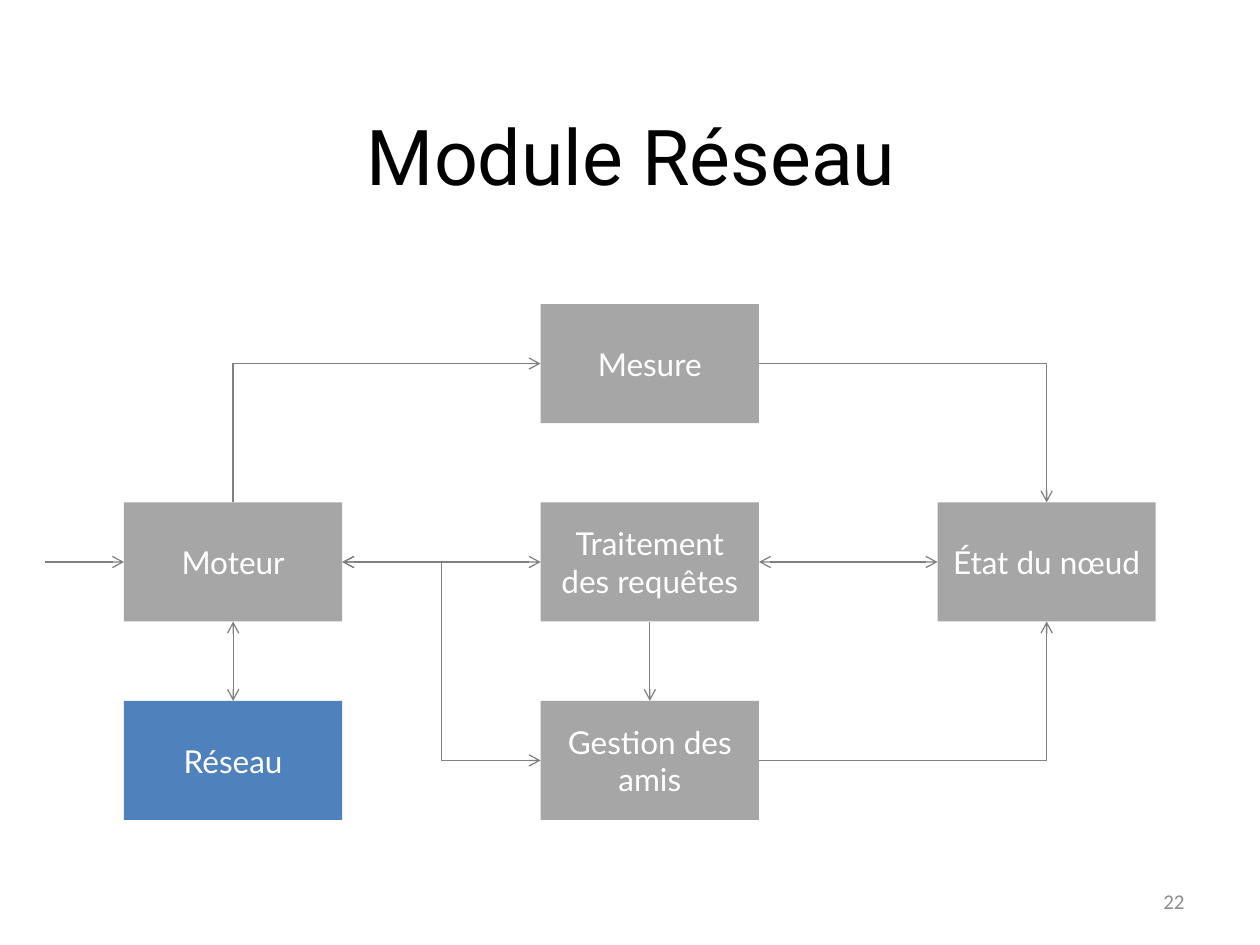
from typing import NamedTuple

from lxml import etree
from pptx import Presentation
from pptx.dml.color import RGBColor
from pptx.enum import shapes, text
from pptx.oxml.ns import qn
from pptx.util import Cm, Pt

BLACK = RGBColor(0x00, 0x00, 0x00)
WHITE = RGBColor(0xFF, 0xFF, 0xFF)
BOX_GREY = RGBColor(0xA6, 0xA6, 0xA6)
BOX_BLUE = RGBColor(0x4F, 0x81, 0xBD)
LINE_GREY = RGBColor(0x80, 0x80, 0x80)
NUMBER_GREY = RGBColor(0x8C, 0x8C, 0x8C)

BOX_W, BOX_H = 4.4, 2.4
COLUMNS = (2.5, 10.9, 18.9)
FIRST_ROW, ROW_STEP = 6.13, 4
TOP, LEFT, BOTTOM, RIGHT = range(4)


class Box(NamedTuple):
    label: str
    col: int
    row: int
    fill: RGBColor = BOX_GREY


class Link(NamedTuple):
    start: str
    start_side: int
    end: str
    end_side: int
    preset: str = "line"
    head: bool = False
    tail: bool = True


BOXES = [
    Box("Moteur", 0, 1),
    Box("Mesure", 1, 0),
    Box("Traitement des requêtes", 1, 1),
    Box("Gestion des amis", 1, 2),
    Box("Réseau", 0, 2, BOX_BLUE),
    Box("État du nœud", 2, 1),
]

LINKS = [
    # A single bend leaves sideways, so this one runs from Mesure back to Moteur.
    Link("Mesure", LEFT, "Moteur", TOP, "bentConnector2", head=True, tail=False),
    Link("Mesure", RIGHT, "État du nœud", TOP, "bentConnector2"),
    Link("Moteur", RIGHT, "Traitement des requêtes", LEFT, head=True),
    Link("Moteur", BOTTOM, "Réseau", TOP, head=True),
    Link("Moteur", RIGHT, "Gestion des amis", LEFT, "bentConnector3", head=True),
    Link("Traitement des requêtes", BOTTOM, "Gestion des amis", TOP),
    Link("Traitement des requêtes", RIGHT, "État du nœud", LEFT, head=True),
    Link("Gestion des amis", RIGHT, "État du nœud", BOTTOM, "bentConnector2"),
]


def write(sp, words: str, font: str, size: float, color: RGBColor,
          align=text.PP_ALIGN.CENTER, anchor=text.MSO_ANCHOR.MIDDLE) -> None:
    tf = sp.text_frame
    tf.text = words
    tf.word_wrap = True
    tf.auto_size = text.MSO_AUTO_SIZE.NONE
    tf.vertical_anchor = anchor
    p = tf.paragraphs[0]
    p.alignment = align
    r = p.runs[0]
    r.font.name = font
    r.font.size = Pt(size)
    r.font.color.rgb = color


def draw_box(s, box: Box):
    sp = s.shapes.add_shape(
        shapes.MSO_SHAPE.RECTANGLE, Cm(COLUMNS[box.col]),
        Cm(FIRST_ROW + box.row * ROW_STEP), Cm(BOX_W), Cm(BOX_H))
    sp.shadow.inherit = False
    sp.fill.solid()
    sp.fill.fore_color.rgb = box.fill
    sp.line.fill.background()
    write(sp, box.label, "Lato", 18, WHITE)
    return sp


def side_middle(sp, side: int) -> tuple[int, int]:
    x = {LEFT: sp.left, RIGHT: sp.left + sp.width}.get(side, sp.left + sp.width // 2)
    y = {TOP: sp.top, BOTTOM: sp.top + sp.height}.get(side, sp.top + sp.height // 2)
    return x, y


def add_line(s, start: tuple[int, int], end: tuple[int, int],
             preset: str = "line", head: bool = False, tail: bool = True):
    kind = shapes.MSO_CONNECTOR.STRAIGHT if preset == "line" else shapes.MSO_CONNECTOR.ELBOW
    cxn = s.shapes.add_connector(kind, *start, *end)
    cxn.line.color.rgb = LINE_GREY
    cxn.line.width = Pt(0.75)
    sp_pr = cxn._element.spPr
    sp_pr.find(qn("a:prstGeom")).set("prst", preset)
    ln = sp_pr.find(qn("a:ln"))
    for tag, wanted in (("a:headEnd", head), ("a:tailEnd", tail)):
        if wanted:
            etree.SubElement(ln, qn(tag), type="arrow")
    etree.SubElement(sp_pr, qn("a:effectLst"))
    return cxn


def draw_link(s, link: Link, placed: dict) -> None:
    start, end = placed[link.start], placed[link.end]
    cxn = add_line(s, side_middle(start, link.start_side),
                   side_middle(end, link.end_side), link.preset, link.head, link.tail)
    cxn.begin_connect(start, link.start_side)
    cxn.end_connect(end, link.end_side)


def main() -> None:
    prs = Presentation()
    prs.slide_width, prs.slide_height = Cm(25.4), Cm(19.05)
    s = prs.slides.add_slide(prs.slide_layouts[5])

    title = s.shapes.title
    title.left, title.top, title.width, title.height = Cm(1.3), Cm(1.12), Cm(22.86), Cm(3.18)
    write(title, "Module Réseau", "Roboto", 44, BLACK, anchor=text.MSO_ANCHOR.BOTTOM)
    tf = title.text_frame
    tf.margin_left = tf.margin_right = tf.margin_top = tf.margin_bottom = Cm(0.25)

    placed = {box.label: draw_box(s, box) for box in BOXES}

    engine = placed["Moteur"]
    x, y = side_middle(engine, LEFT)
    entry = add_line(s, (Cm(0.9), y), (x, y))
    entry.end_connect(engine, LEFT)
    for link in LINKS:
        draw_link(s, link, placed)

    number = s.shapes.add_textbox(Cm(18.2), Cm(17.65), Cm(5.93), Cm(1.02))
    write(number, "22", "Calibri", 12, NUMBER_GREY, align=text.PP_ALIGN.RIGHT)

    prs.save("out.pptx")


if __name__ == "__main__":
    main()
